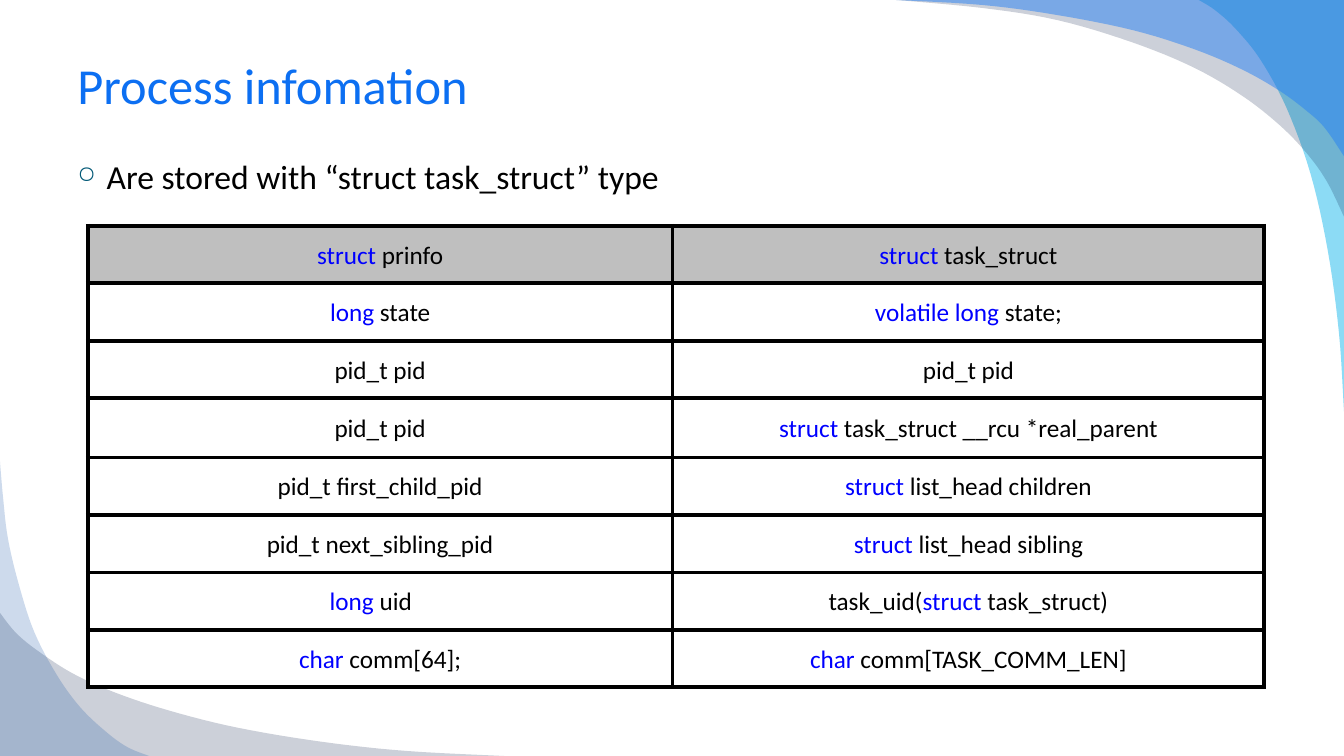
from lxml import etree
from pptx import Presentation, util as u
from pptx.dml.color import RGBColor
from pptx.enum import text
from pptx.oxml.ns import qn

WIDTH, HEIGHT = 13.33, 7.5
FONT = "Calibri"
BLACK = RGBColor(0, 0, 0)
WHITE = RGBColor(0xFF, 0xFF, 0xFF)
GRAY = RGBColor(0xBF, 0xBF, 0xBF)
KEYWORD_BLUE = RGBColor(0, 0, 0xFF)
TITLE_BLUE = RGBColor(0x0C, 0x6F, 0xF2)
BULLET_TEAL = RGBColor(0x00, 0x58, 0x76)
CYAN = RGBColor(0x00, 0xB1, 0xE9)
NAVY = RGBColor(0x02, 0x17, 0x41)
SKY = RGBColor(0x24, 0x7F, 0xF4)
DEEP_BLUE = RGBColor(0x08, 0x4A, 0xA1)

TITLE = "Process infomation"
POINT = "Are stored with “struct task_struct” type"

# Each cell: text before the keyword, the keyword, text after it
FIELDS = [
    (("", "struct ", "prinfo"), ("", "struct ", "task_struct")),
    (("", "long", " state"), ("", "volatile long", " state;")),
    (("pid_t pid", "", ""), ("pid_t pid", "", "")),
    (("pid_t pid", "", ""), ("", "struct ", "task_struct __rcu *real_parent")),
    (("pid_t first_child_pid", "", ""), ("", "struct ", "list_head children")),
    (("pid_t next_sibling_pid", "", ""), ("", "struct ", "list_head sibling")),
    (("", "long ", "uid\t"), ("task_uid(", "struct ", "task_struct)")),
    (("", "char", " comm[64];"), ("", "char ", "comm[TASK_COMM_LEN]")),
]
COLUMN_WIDTHS = (5.8, 5.87)
ROW_HEIGHTS = (0.57, 0.57, 0.57, 0.59, 0.57, 0.57, 0.57, 0.57)

TOP_RIGHT, BOTTOM_LEFT = (WIDTH, 0), (0, HEIGHT)
# Colour, opacity in percent, slide corner, knots of the curved edge
SWOOSHES = [
    (CYAN, 45, TOP_RIGHT,
     [(11.89, 0), (12.05, 0.1), (12.25, 0.28), (12.5, 0.59), (12.76, 1.07),
      (13, 1.73), (13.17, 2.49), (13.28, 3.3), (13.33, 4.08)]),
    (NAVY, 20, TOP_RIGHT,
     [(8.89, 0), (9.75, 0.08), (10.49, 0.2), (11.23, 0.42), (11.84, 0.67),
      (12.32, 0.95), (12.69, 1.24), (12.96, 1.52), (13.16, 1.8), (13.33, 2.15)]),
    (SKY, 49, TOP_RIGHT,
     [(8.89, 0), (9.75, 0.05), (10.49, 0.15), (11.24, 0.3), (11.85, 0.49),
      (12.32, 0.69), (12.69, 0.9), (12.96, 1.1), (13.14, 1.27), (13.33, 1.55)]),
    (NAVY, 20, BOTTOM_LEFT,
     [(0, 6.08), (0.16, 6.28), (0.38, 6.46), (0.72, 6.68), (1.14, 6.87),
      (1.68, 7.05), (2.36, 7.22), (3.2, 7.36), (4.03, 7.45), (5, 7.5)]),
    (DEEP_BLUE, 20, BOTTOM_LEFT,
     [(1.48, 7.5), (1.26, 7.41), (1.04, 7.25), (0.79, 7.01), (0.56, 6.69),
      (0.34, 6.27), (0.19, 5.81), (0.08, 5.35), (0.03, 4.93), (0, 4.58)]),
]


def add_xml(parent, tag, **attributes):
    values = {name: str(value) for name, value in attributes.items()}
    return etree.SubElement(parent, qn("a:" + tag), values)


def smooth_curve(knots, steps=6):
    """Catmull-Rom points through the knots."""
    padded = [knots[0], *knots, knots[-1]]
    points = []
    for a, b, c, d in zip(padded, padded[1:], padded[2:], padded[3:]):
        for t in (step / steps for step in range(steps)):
            points.append(tuple(
                q + t / 2 * (r - p + t * (2 * p - 5 * q + 4 * r - s
                                          + t * (3 * (q - r) + s - p)))
                for p, q, r, s in zip(a, b, c, d)))
    return points + [knots[-1]]


def add_swoosh(page, color, opacity, corner, knots):
    points = [(u.Inches(x), u.Inches(y)) for x, y in smooth_curve(knots) + [corner]]
    builder = page.shapes.build_freeform(*points[0])
    builder.add_line_segments(points[1:], close=True)
    shape = builder.convert_to_shape()
    shape.shadow.inherit = False
    shape.line.fill.background()
    shape.fill.solid()
    shape.fill.fore_color.rgb = color
    fill = shape._element.spPr.find(qn("a:solidFill"))
    add_xml(fill[0], "alpha", val=opacity * 1000)


def add_text(para, content, size=18, color=BLACK):
    span = para.add_run()
    span.text = content
    span.font.name, span.font.size = FONT, u.Pt(size)
    span.font.color.rgb = color


def add_box(page, left, top, width, height, anchor):
    box = page.shapes.add_textbox(*map(u.Inches, (left, top, width, height)))
    frame = box.text_frame
    frame.word_wrap, frame.vertical_anchor = True, anchor
    return frame.paragraphs[0]


def add_bullet(para, char, color, percent, indent):
    props = para._p.get_or_add_pPr()
    props.set("marL", str(u.Inches(indent)))
    props.set("indent", str(-u.Inches(indent)))
    add_xml(add_xml(props, "buClr"), "srgbClr", val=color)
    add_xml(props, "buSzPct", val=percent * 1000)
    add_xml(props, "buChar", char=char)


def style_cell(cell, fill):
    cell.vertical_anchor = text.MSO_ANCHOR.MIDDLE
    props = cell._tc.get_or_add_tcPr()
    for side in ("lnL", "lnR", "lnT", "lnB"):
        line = add_xml(props, side, w=u.Pt(3))
        add_xml(add_xml(line, "solidFill"), "srgbClr", val=BLACK)
    cell.fill.solid()
    cell.fill.fore_color.rgb = fill


def add_field_table(page, left, top):
    table = page.shapes.add_table(
        len(FIELDS), len(COLUMN_WIDTHS), u.Inches(left), u.Inches(top),
        u.Inches(sum(COLUMN_WIDTHS)), u.Inches(sum(ROW_HEIGHTS))).table
    table.first_row = table.horz_banding = False
    for column, width in zip(table.columns, COLUMN_WIDTHS):
        column.width = u.Inches(width)
    for r, (height, fields) in enumerate(zip(ROW_HEIGHTS, FIELDS)):
        table.rows[r].height = u.Inches(height)
        for c, parts in enumerate(fields):
            cell = table.cell(r, c)
            style_cell(cell, WHITE if r else GRAY)
            para = cell.text_frame.paragraphs[0]
            para.alignment, para.line_spacing = text.PP_ALIGN.CENTER, 1.07
            for part, color in zip(parts, (BLACK, KEYWORD_BLUE, BLACK)):
                if part:
                    add_text(para, part, color=color)


def main():
    deck = Presentation()
    deck.slide_width, deck.slide_height = u.Inches(WIDTH), u.Inches(HEIGHT)
    page = deck.slides.add_slide(deck.slide_layouts[6])
    for swoosh in SWOOSHES:
        add_swoosh(page, *swoosh)
    title = add_box(page, 0.67, 0.33, 12, 1.01, text.MSO_ANCHOR.MIDDLE)
    add_text(title, TITLE, size=36, color=TITLE_BLUE)
    point = add_box(page, 0.67, 1.5, 12, 0.6, text.MSO_ANCHOR.TOP)
    add_bullet(point, "○", BULLET_TEAL, percent=70, indent=0.29)
    add_text(point, POINT, size=24)
    add_field_table(page, 0.87, 2.24)
    deck.save("out.pptx")


if __name__ == "__main__":
    main()
